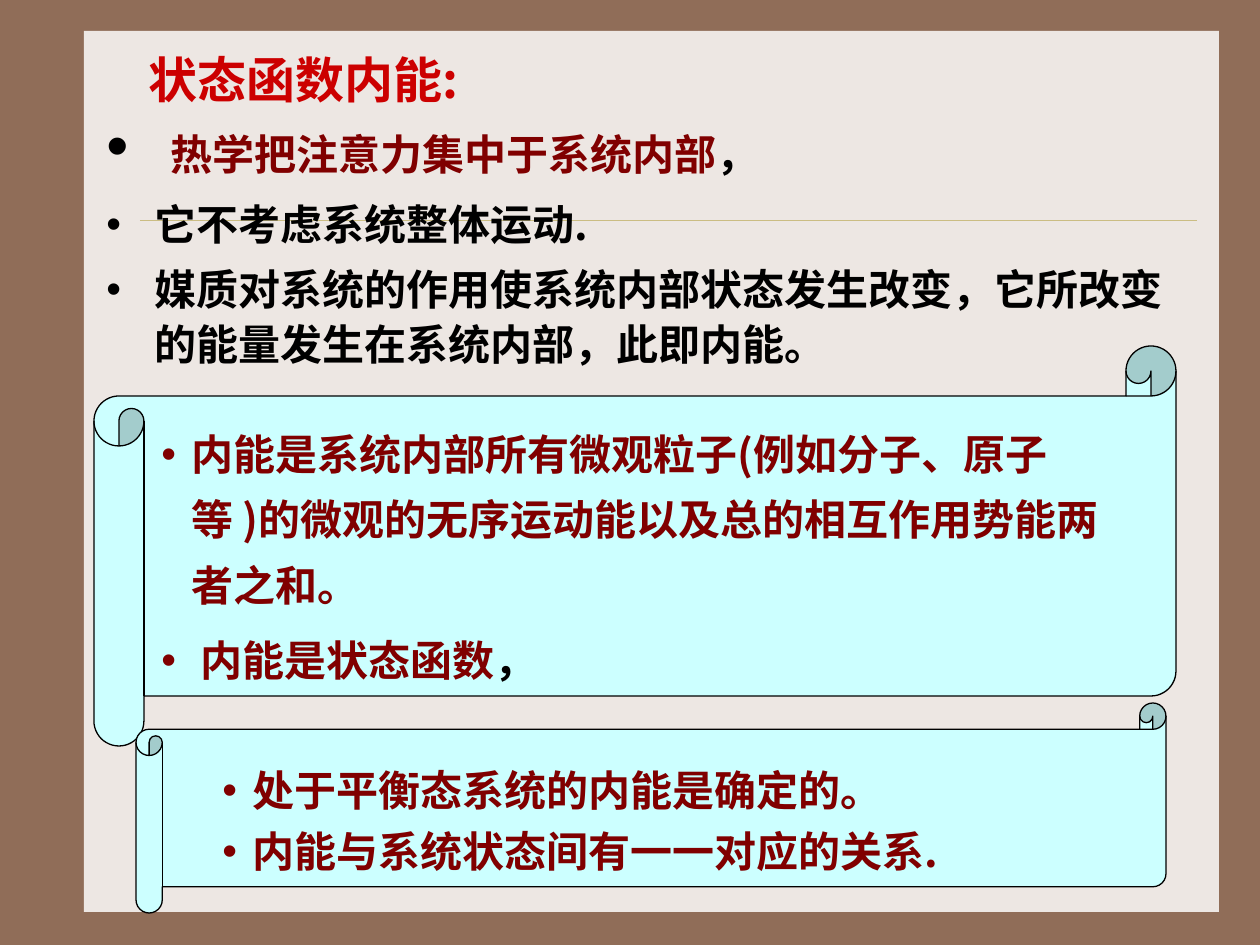
from dataclasses import dataclass

from lxml import etree
from pptx import Presentation
from pptx import util as u
from pptx.dml.color import RGBColor
from pptx.enum import shapes, text
from pptx.oxml.ns import qn

EMU_PER_PX = 914400 / 126


@dataclass(frozen=True)
class Theme:
    frame: str = "906D58"
    paper: str = "EDE7E3"
    rule: str = "CBBD83"
    scroll: str = "CCFFFF"
    red: str = "CC0000"
    maroon: str = "800000"
    black: str = "000000"
    title_size: int = 28
    body_size: int = 24
    lead_size: int = 36
    font: str = "Noto Sans CJK SC"
    lead_font: str = "Times New Roman"


THEME = Theme()


def px(n):
    return u.Emu(round(n * EMU_PER_PX))


def box(*lengths):
    return [px(n) for n in lengths]


def rgb(value):
    return RGBColor.from_string(value)


def paint(sp, fill, line=None):
    sp.shadow.inherit = False
    sp.fill.solid()
    sp.fill.fore_color.rgb = rgb(fill)
    if line:
        sp.line.color.rgb = rgb(line)
        sp.line.width = u.Pt(0.75)
    else:
        sp.line.fill.background()


def format_run(r, color, size=THEME.body_size, font=THEME.font, bold=True):
    r.font.size = u.Pt(size)
    r.font.bold = bold
    r.font.color.rgb = rgb(color)
    r.font.name = font
    ea = etree.SubElement(r.font._element, qn("a:ea"))
    ea.set("typeface", font)


def add_run(p, content, color, **style):
    r = p.add_run()
    r.text = content
    format_run(r, color, **style)


def add_bullet(p, color, indent):
    pPr = p._p.get_or_add_pPr()
    pPr.set("marL", str(px(indent)))
    pPr.set("indent", str(-px(indent)))
    clr = etree.SubElement(pPr, qn("a:buClr"))
    etree.SubElement(clr, qn("a:srgbClr")).set("val", color)
    etree.SubElement(pPr, qn("a:buFont")).set("typeface", "Arial")
    etree.SubElement(pPr, qn("a:buChar")).set("char", "•")


def add_list(tf, items, color, indent, spacing):
    """Write bulleted paragraphs; each item is a list of (text, colour) runs."""
    tf.word_wrap = True
    for i, runs in enumerate(items):
        p = tf.paragraphs[0] if i == 0 else tf.add_paragraph()
        p.line_spacing = spacing
        p.space_before = u.Pt(6)
        add_bullet(p, color, indent)
        for content, run_color in runs:
            add_run(p, content, run_color)


def add_background(slide):
    slide.background.fill.solid()
    slide.background.fill.fore_color.rgb = rgb(THEME.frame)
    paper = slide.shapes.add_shape(shapes.MSO_SHAPE.RECTANGLE, *box(84, 31, 1135, 881))
    paint(paper, THEME.paper)
    rule = slide.shapes.add_connector(shapes.MSO_CONNECTOR.STRAIGHT, *box(140, 220, 1197, 220))
    rule.line.color.rgb = rgb(THEME.rule)
    rule.line.width = u.Pt(0.25)
    etree.SubElement(rule._element.spPr, qn("a:effectLst"))
    # The title placeholder comes first, so the backdrop goes behind it.
    tree = slide.shapes._spTree
    for index, sp in enumerate((paper, rule), start=2):
        tree.insert(index, sp._element)


def set_title(slide, content):
    title = slide.shapes.title
    title.left, title.top, title.width, title.height = box(136, 42, 1071, 73)
    tf = title.text_frame
    tf.text = content
    tf.auto_size = text.MSO_AUTO_SIZE.NONE
    tf.vertical_anchor = text.MSO_ANCHOR.MIDDLE
    p = tf.paragraphs[0]
    p.alignment = text.PP_ALIGN.LEFT
    format_run(p.runs[0], THEME.red, size=THEME.title_size)


def add_body(slide):
    tf = slide.shapes.add_textbox(*box(94, 94, 1103, 798)).text_frame
    items = [
        [],
        [("它不考虑系统整体运动.", THEME.black)],
        [("媒质对系统的作用使系统内部状态发生改变，它所改变的能量发生在系统内部，此即内能。",
          THEME.black)],
    ]
    add_list(tf, items, THEME.black, 48, u.Pt(31.4))
    lead = tf.paragraphs[0]
    lead.line_spacing = 1.1
    add_run(lead, " ", THEME.black, size=THEME.lead_size, font=THEME.lead_font, bold=False)
    add_run(lead, "热学把注意力集中于系统内部", THEME.maroon)
    add_run(lead, "，", THEME.black)


def add_scroll(slide, outline, panel, items, spacing):
    group = slide.shapes.add_group_shape()
    scroll = group.shapes.add_shape(shapes.MSO_SHAPE.HORIZONTAL_SCROLL, *box(*outline))
    scroll.adjustments[0] = 0.125
    paint(scroll, THEME.scroll, THEME.black)
    note = group.shapes.add_textbox(*box(*panel))
    paint(note, THEME.scroll)
    add_list(note.text_frame, items, THEME.maroon, 30, spacing)


def main():
    prs = Presentation()
    prs.slide_width, prs.slide_height = px(1260), px(945)
    slide = prs.slides.add_slide(prs.slide_layouts[5])
    add_background(slide)
    set_title(slide, "状态函数内能:")
    add_body(slide)
    add_scroll(slide, (94, 346, 1082, 400), (149, 408, 963, 285), [
        [("内能是系统内部所有微观粒子(例如分子、原子等 )的微观的无序运动能以及总的相互作用势能两者之和。",
          THEME.maroon)],
        [(" 内能是状态函数", THEME.maroon), ("，", THEME.black)],
    ], u.Pt(37.2))
    add_scroll(slide, (136, 703, 1030, 210), (210, 759, 935, 125), [
        [("处于平衡态系统的内能是确定的。", THEME.maroon)],
        [("内能与系统状态间有一一对应的关系.", THEME.maroon)],
    ], u.Pt(28.6))
    prs.save("out.pptx")


if __name__ == "__main__":
    main()
